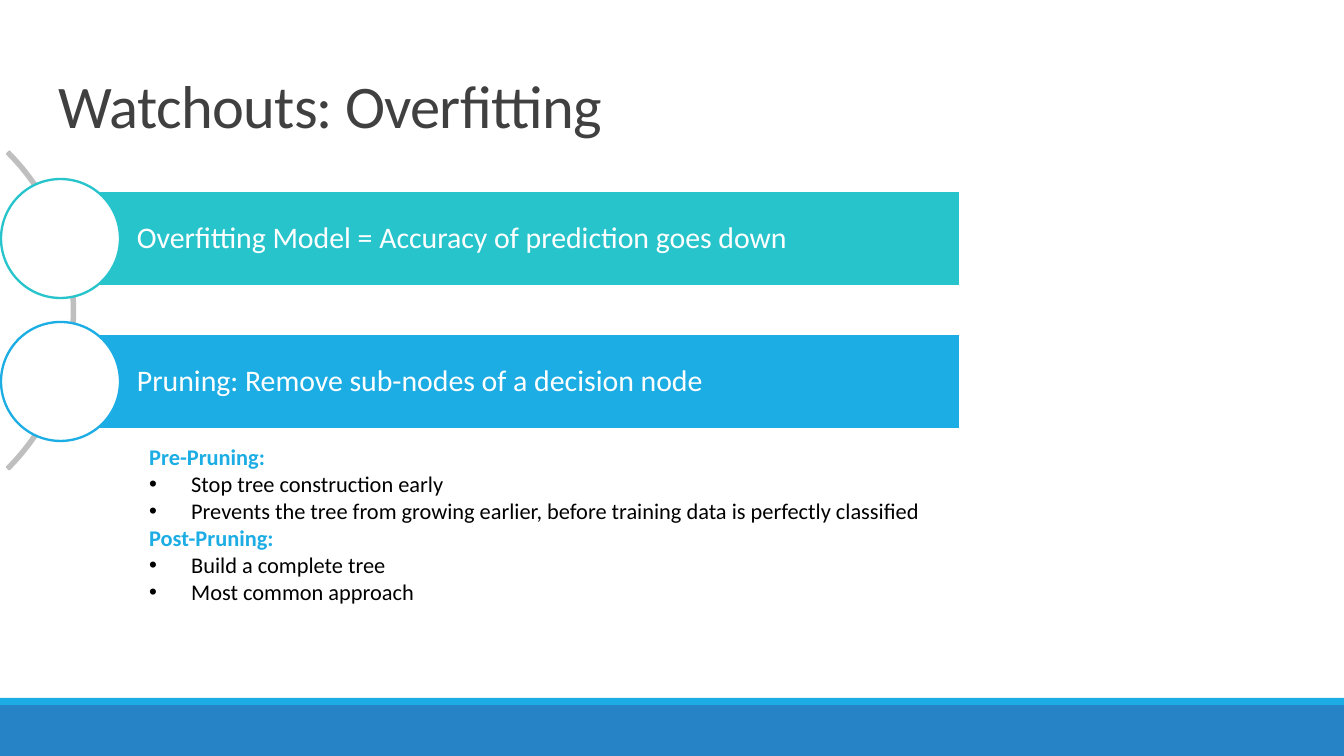
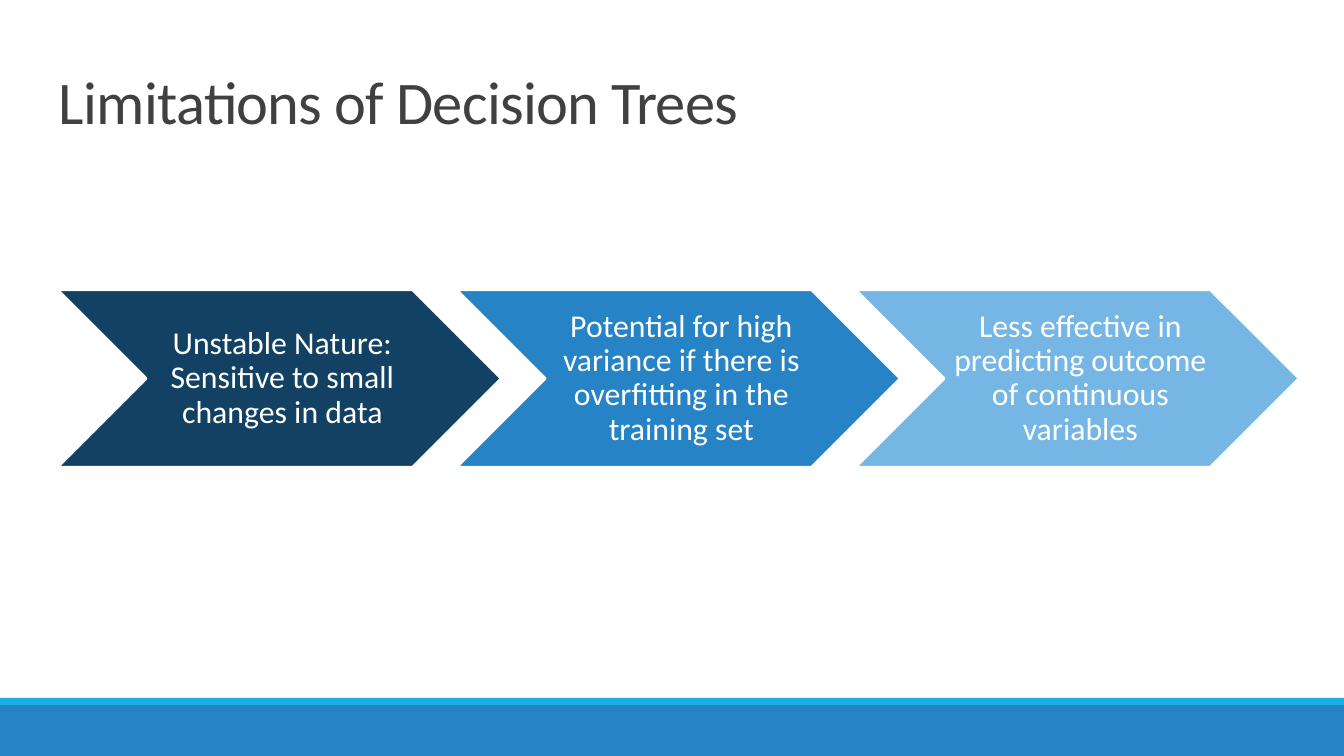
from lxml.etree import SubElement
from pptx import Presentation
from pptx.dml.color import RGBColor
from pptx.enum.shapes import MSO_SHAPE
from pptx.enum.text import MSO_ANCHOR, PP_ALIGN
from pptx.oxml.ns import qn
from pptx.util import Emu, Pt

PX = 914400 / 134.4
PAGE_WIDTH, PAGE_HEIGHT = 1344, 756
FONT = "Calibri"

WHITE = RGBColor(0xFF, 0xFF, 0xFF)
BLACK = RGBColor(0x00, 0x00, 0x00)
TITLE_GREY = RGBColor(0x40, 0x40, 0x40)
ARC_FILL = RGBColor(0xBD, 0xBF, 0xBF)
ARC_LINE = RGBColor(0xBF, 0xBF, 0xBF)
TEAL = RGBColor(0x28, 0xC4, 0xCC)
SKY = RGBColor(0x1C, 0xAD, 0xE4)
BLUE = RGBColor(0x26, 0x83, 0xC6)
NAVY = RGBColor(0x13, 0x41, 0x63)
PALE_BLUE = RGBColor(0x75, 0xB6, 0xE5)

BARS = [
    ("Overfitting Model = Accuracy of prediction goes down", TEAL),
    ("Pruning: Remove sub-nodes of a decision node", SKY),
]
PRUNING = {
    "Pre-Pruning:": [
        "Stop tree construction early",
        "Prevents the tree from growing earlier, before training data is perfectly classified",
    ],
    "Post-Pruning:": ["Build a complete tree", "Most common approach"],
}
LIMITATIONS = [
    ("Unstable Nature: Sensitive to small changes in data", NAVY),
    ("Potential for high variance if there is overfitting in the training set", BLUE),
    ("Less effective in predicting outcome of continuous variables", PALE_BLUE),
]


def px(length):
    return Emu(round(length * PX))


def assign(target, values):
    for name, value in values.items():
        setattr(target, name, value)


def set_margins(frame, left, top, right, bottom):
    assign(frame, {
        "margin_left": px(left),
        "margin_top": px(top),
        "margin_right": px(right),
        "margin_bottom": px(bottom),
    })


def write(para, text, size, color, bold=False):
    span = para.add_run()
    span.text = text
    assign(span.font, {"name": FONT, "size": Pt(size), "bold": bold})
    span.font.color.rgb = color
    return span


def add_figure(page, kind, area, fill, line=None):
    figure = page.shapes.add_shape(kind, *map(px, area))
    figure.shadow.inherit = False
    figure.fill.solid()
    figure.fill.fore_color.rgb = fill
    if line is None:
        figure.line.fill.background()
    else:
        figure.line.color.rgb = line
        figure.line.width = Pt(1.25)
    return figure


def label(figure, text, size, align, margins):
    frame = figure.text_frame
    assign(frame, {"word_wrap": True, "vertical_anchor": MSO_ANCHOR.MIDDLE})
    set_margins(frame, *margins)
    para = frame.paragraphs[0]
    assign(para, {"alignment": align, "line_spacing": 0.9})
    write(para, text, size, WHITE)


def add_text_frame(page, area):
    frame = page.shapes.add_textbox(*map(px, area)).text_frame
    frame.word_wrap = True
    return frame


def add_page(deck, title, title_top):
    page = deck.slides.add_slide(deck.slide_layouts[6])
    add_figure(page, MSO_SHAPE.RECTANGLE, (0, 705, PAGE_WIDTH, 51), BLUE)
    add_figure(page, MSO_SHAPE.RECTANGLE, (0, 698, PAGE_WIDTH, 7), SKY)
    frame = add_text_frame(page, (46, title_top, 1253, 85))
    set_margins(frame, 13, 13, 13, 13)
    para = frame.paragraphs[0]
    para.line_spacing = 0.85
    span = write(para, title, 32.4, TITLE_GREY)
    span.font._element.set("spc", "-40")
    return page


def indent(para, left, first=0, bullet=None):
    properties = para._p.get_or_add_pPr()
    properties.set("marL", str(px(left)))
    properties.set("indent", str(px(first)))
    if bullet:
        SubElement(properties, qn("a:buFont")).set("typeface", "Arial")
        SubElement(properties, qn("a:buChar")).set("char", bullet)


def add_outline(page, area, sections):
    frame = add_text_frame(page, area)
    lines = []
    for heading, points in sections.items():
        lines.append((heading, True))
        lines.extend((point, False) for point in points)
    for index, (text, is_heading) in enumerate(lines):
        para = frame.add_paragraph() if index else frame.paragraphs[0]
        if is_heading:
            indent(para, 90)
            write(para, text, 12, SKY, True)
        else:
            indent(para, 132, -42, "•")
            write(para, text, 12, BLACK)


def add_bar(page, top, text, color):
    bar = add_figure(page, MSO_SHAPE.RECTANGLE, (62, top, 898, 95), color, WHITE)
    label(bar, text, 16, PP_ALIGN.LEFT, (75, 5, 5, 5))
    add_figure(page, MSO_SHAPE.OVAL, (1, top - 12, 119, 119), WHITE, color)


def build_overfitting(deck):
    page = add_page(deck, "Watchouts: Overfitting", 66)
    arc = add_figure(page, MSO_SHAPE.BLOCK_ARC, (-374, 86, 449, 449), ARC_FILL, ARC_LINE)
    for index, value in enumerate((189, 27, 0.007)):
        arc.adjustments[index] = value
    for index, (text, color) in enumerate(BARS):
        add_bar(page, 191 + index * 143, text, color)
    add_outline(page, (46, 437, 939, 176), PRUNING)


def build_limitations(deck):
    page = add_page(deck, "Limitations of Decision Trees", 62)
    for index, (text, color) in enumerate(LIMITATIONS):
        area = (58 + index * 399, 290, 443, 177)
        chevron = add_figure(page, MSO_SHAPE.CHEVRON, area, color, WHITE)
        label(chevron, text, 17, PP_ALIGN.CENTER, (9, 3, 3, 3))


def main():
    deck = Presentation()
    assign(deck, {"slide_width": px(PAGE_WIDTH), "slide_height": px(PAGE_HEIGHT)})
    build_overfitting(deck)
    build_limitations(deck)
    deck.save("out.pptx")


if __name__ == "__main__":
    main()
